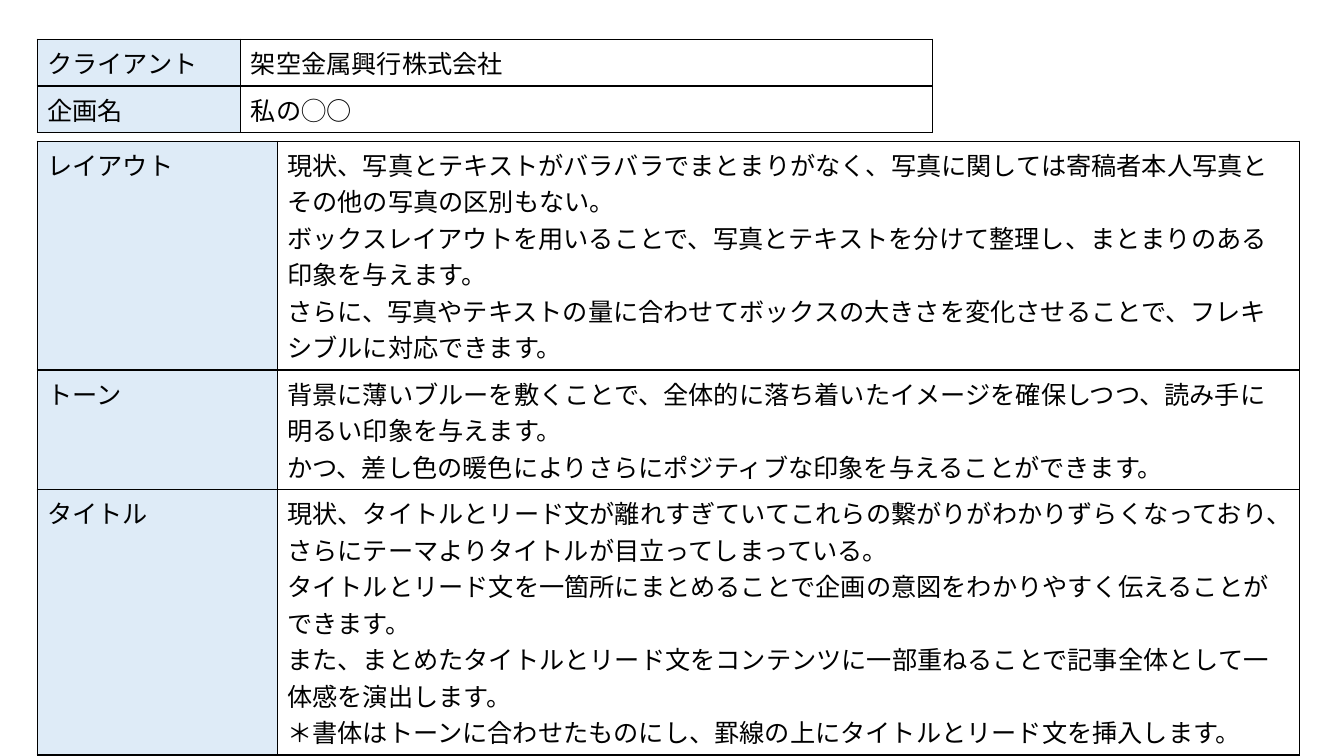
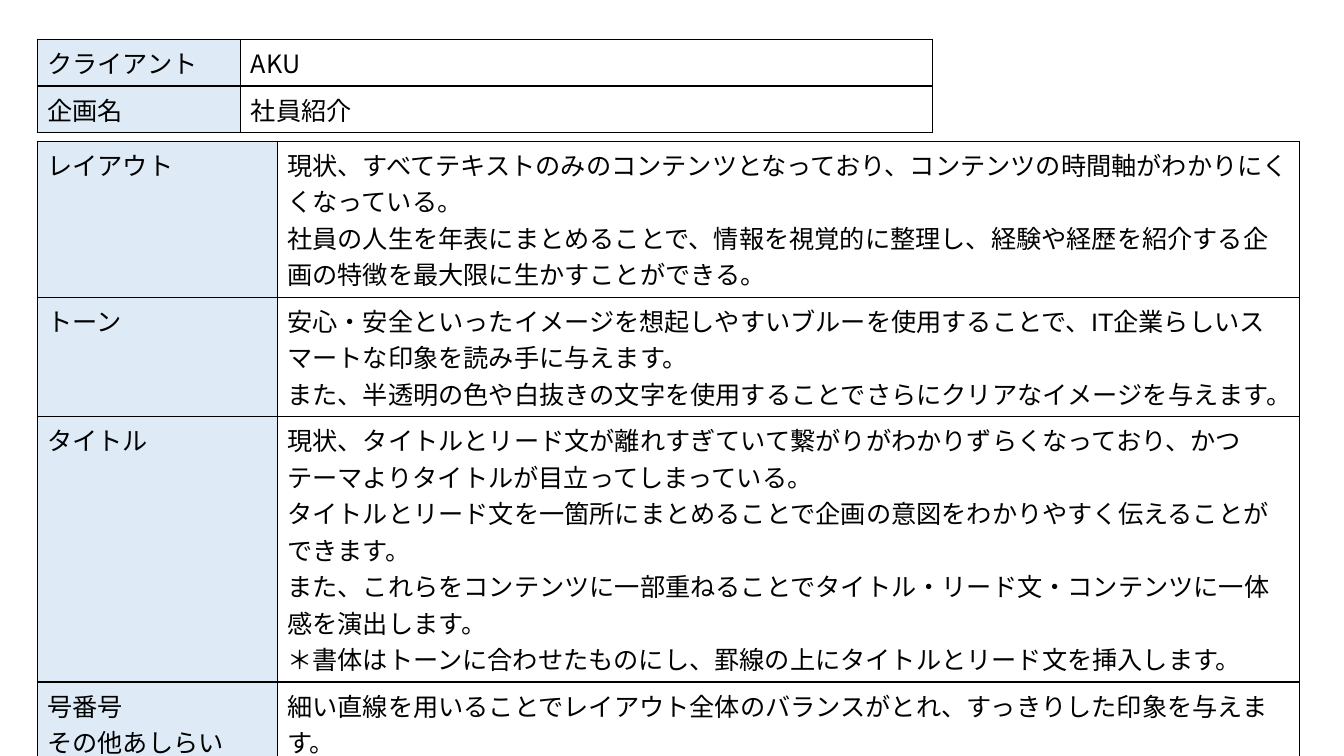
from lxml.etree import SubElement
from pptx import Presentation
from pptx.dml.color import RGBColor
from pptx.enum.lang import MSO_LANGUAGE_ID
from pptx.enum.text import MSO_ANCHOR
from pptx.oxml.ns import qn
from pptx.util import Pt

FONT = "Noto Sans CJK JP"
BLACK, WHITE, LABEL_BLUE = "000000", "FFFFFF", "DEEBF7"
LEFT, ROW_H = 26.64, 29.52
HEAD_TOP, HEAD_COLS = 28.08, (145.44, 493.92)
BODY_TOP, BODY_COLS = 100.8, (171.36, 730.08)


def write_cell(cell, text, fill=WHITE, latin=FONT, anchor=MSO_ANCHOR.TOP):
    """Fill a cell with text, background and thin black borders."""
    cell.text = text
    cell.vertical_anchor = anchor
    for p in cell.text_frame.paragraphs:
        for r in p.runs:
            r.font.size = Pt(18)
            r.font.name = latin
            r.font.language_id = MSO_LANGUAGE_ID.JAPANESE
            r.font.color.rgb = RGBColor.from_string(BLACK)
            SubElement(r.font._element, qn("a:ea"), typeface=FONT)
    tcPr = cell._tc.get_or_add_tcPr()
    for side in ("a:lnL", "a:lnR", "a:lnT", "a:lnB"):
        ln = SubElement(tcPr, qn(side), w=str(Pt(1)))
        SubElement(SubElement(ln, qn("a:solidFill")), qn("a:srgbClr"), val=BLACK)
    cell.fill.solid()
    cell.fill.fore_color.rgb = RGBColor.from_string(fill)


def add_label_table(s, top, widths, rows, anchor=MSO_ANCHOR.TOP):
    """Add a table with blue labels on the left and text on the right."""
    table = s.shapes.add_table(len(rows), 2, Pt(LEFT), Pt(top),
                               Pt(sum(widths)), Pt(ROW_H * len(rows))).table
    table.first_row = table.horz_banding = False
    for column, width in zip(table.columns, widths):
        column.width = Pt(width)
    for i, (label, text, *latin) in enumerate(rows):
        write_cell(table.cell(i, 0), label, fill=LABEL_BLUE)
        write_cell(table.cell(i, 1), text, latin=latin[0] if latin else FONT,
                   anchor=anchor)


# Text shared by both slides
TITLE_MERGE = "タイトルとリード文を一箇所にまとめることで企画の意図をわかりやすく伝えることができます。"
TITLE_NOTE = "＊書体はトーンに合わせたものにし、罫線の上にタイトルとリード文を挿入します。"

# Content: client, project, then rows of label, text and optional Latin font
plans = [
    ("架空金属興行株式会社", "私の◯○", [
        ("レイアウト",
         "現状、写真とテキストがバラバラでまとまりがなく、写真に関しては寄稿者本人写真とその他の写真の区別もない。\n"
         "ボックスレイアウトを用いることで、写真とテキストを分けて整理し、まとまりのある印象を与えます。\n"
         "さらに、写真やテキストの量に合わせてボックスの大きさを変化させることで、フレキシブルに対応できます。"),
        ("トーン",
         "背景に薄いブルーを敷くことで、全体的に落ち着いたイメージを確保しつつ、読み手に明るい印象を与えます。\n"
         "かつ、差し色の暖色によりさらにポジティブな印象を与えることができます。"),
        ("タイトル",
         "現状、タイトルとリード文が離れすぎていてこれらの繋がりがわかりずらくなっており、さらにテーマよりタイトルが目立ってしまっている。\n"
         f"{TITLE_MERGE}\n"
         "また、まとめたタイトルとリード文をコンテンツに一部重ねることで記事全体として一体感を演出します。\n"
         f"{TITLE_NOTE}"),
    ]),
    ("AKU", "社員紹介", [
        ("レイアウト",
         "現状、すべてテキストのみのコンテンツとなっており、コンテンツの時間軸がわかりにくくなっている。\n"
         "社員の人生を年表にまとめることで、情報を視覚的に整理し、経験や経歴を紹介する企画の特徴を最大限に生かすことができる。"),
        ("トーン",
         "安心・安全といったイメージを想起しやすいブルーを使用することで、IT企業らしいスマートな印象を読み手に与えます。\n"
         "また、半透明の色や白抜きの文字を使用することでさらにクリアなイメージを与えます。",
         "Arial"),
        ("タイトル",
         "現状、タイトルとリード文が離れすぎていて繋がりがわかりずらくなっており、かつテーマよりタイトルが目立ってしまっている。\n"
         f"{TITLE_MERGE}\n"
         "また、これらをコンテンツに一部重ねることでタイトル・リード文・コンテンツに一体感を演出します。\n"
         f"{TITLE_NOTE}"),
        ("号番号\vその他あしらい",
         "細い直線を用いることでレイアウト全体のバランスがとれ、すっきりした印象を与えます。"),
    ]),
]

# Slides
prs = Presentation()
prs.slide_width, prs.slide_height = Pt(960), Pt(540)
for client, project, rows in plans:
    s = prs.slides.add_slide(prs.slide_layouts[6])
    add_label_table(s, HEAD_TOP, HEAD_COLS,
                    [("クライアント", client), ("企画名", project)])
    add_label_table(s, BODY_TOP, BODY_COLS, rows, anchor=MSO_ANCHOR.MIDDLE)

prs.save("out.pptx")
